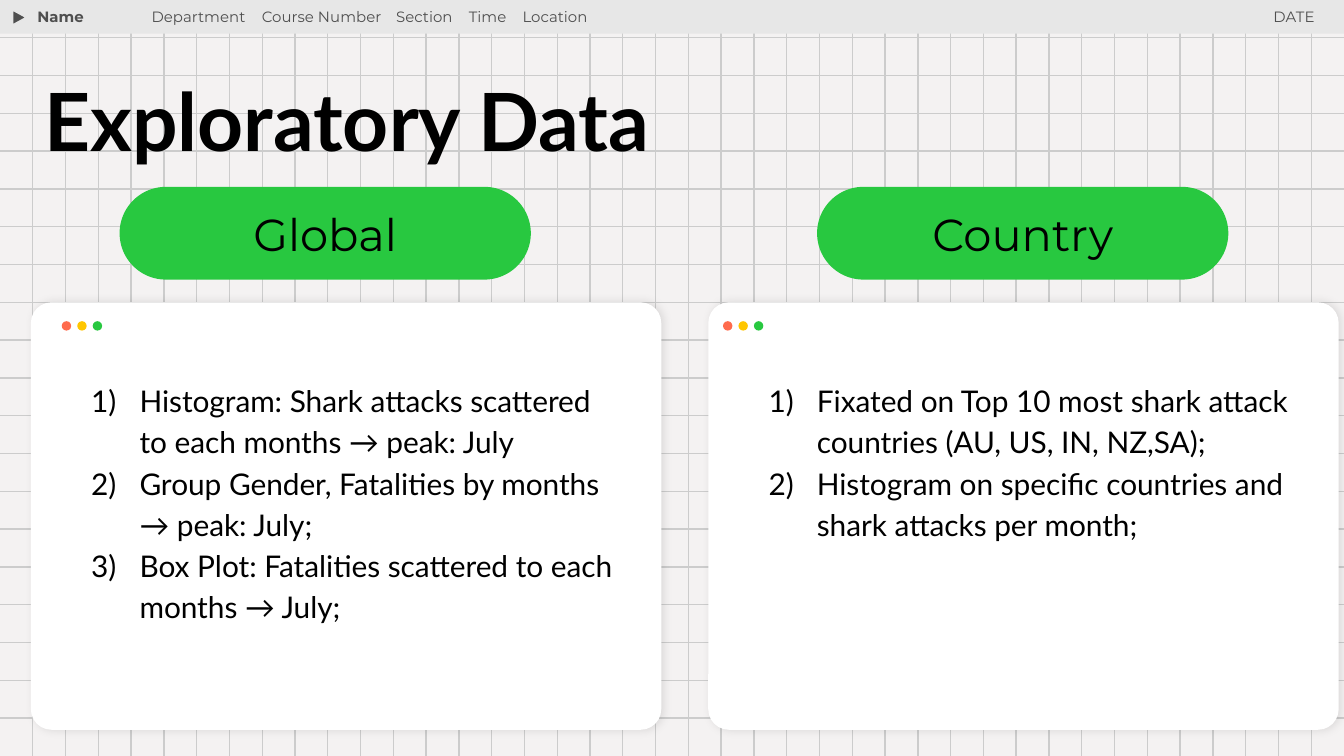
from lxml import etree
from pptx import Presentation
from pptx.dml.color import RGBColor
from pptx.enum.shapes import MSO_CONNECTOR as LINE, MSO_SHAPE as SHAPE
from pptx.enum.text import MSO_ANCHOR as ANCHOR, MSO_AUTO_SIZE as FIT, PP_ALIGN as ALIGN
from pptx.oxml import parse_xml
from pptx.oxml.ns import nsdecls, qn
from pptx.util import Inches, Pt

PAPER = RGBColor(0xF4, 0xF2, 0xF2)
GRID = RGBColor(0xCC, 0xCC, 0xCC)
BAR = RGBColor(0xE7, 0xE7, 0xE7)
GREY = RGBColor(0x4F, 0x4F, 0x4F)
WHITE = RGBColor(0xFF, 0xFF, 0xFF)
BLACK = RGBColor(0, 0, 0)
RED = RGBColor(0xFF, 0x6B, 0x4D)
YELLOW = RGBColor(0xFF, 0xC6, 0x00)
GREEN = RGBColor(0x28, 0xC8, 0x40)

WIDE = 10
HIGH = WIDE * 9 / 16
COLS, ROWS = 41, 20
TITLE = "Exploratory Data"
FIELDS = ["Department", "Course Number", "Section", "Time", "Location"]
TABS = [0.82, 1.82, 2.36, 2.76]
# left edges of card, dots, list and pill, then the words
PANELS = [
    dict(card=0.23, dots=0.46, list=0.44, pill=0.89, head="Global", items=[
        "Histogram: Shark attacks scattered to each months → peak: July",
        "Group Gender, Fatalities by months → peak: July;",
        "Box Plot: Fatalities scattered to each months → July;",
    ]),
    dict(card=5.27, dots=5.38, list=5.48, pill=6.08, head="Country", items=[
        "Fixated on Top 10 most shark attack countries (AU, US, IN, NZ,SA);",
        "Histogram on specific countries and shark attacks per month;",
    ]),
]

deck = Presentation()
deck.slide_width, deck.slide_height = Inches(WIDE), Inches(HIGH)
slide = deck.slides.add_slide(deck.slide_layouts[5])
shapes = slide.shapes
slide.background.fill.solid()
slide.background.fill.fore_color.rgb = PAPER


def add_line(x1, y1, x2, y2):
    line = shapes.add_connector(LINE.STRAIGHT, *map(Inches, (x1, y1, x2, y2)))
    line.line.color.rgb = GRID
    line.line.width = Pt(0.75)
    etree.SubElement(line._element.spPr, qn("a:effectLst"))


def add_shape(kind, box, fill, round=None):
    shape = shapes.add_shape(kind, *map(Inches, box))
    shape.shadow.inherit = False
    shape.fill.solid()
    shape.fill.fore_color.rgb = fill
    shape.line.fill.background()
    if round is not None:
        shape.adjustments[0] = round
    return shape


def cast_shadow(shape):
    """Give the shape a soft, faint shadow to its right."""
    effects = shape._element.spPr.find(qn("a:effectLst"))
    effects.append(parse_xml(
        f'<a:outerShdw {nsdecls("a")} blurRad="{Pt(4.5)}" dist="{Pt(1.5)}" dir="0" '
        'algn="ctr" rotWithShape="0"><a:srgbClr val="000000">'
        '<a:alpha val="10000"/></a:srgbClr></a:outerShdw>'))


def set_frame(shape, anchor=ANCHOR.TOP):
    frame = shape.text_frame
    frame.word_wrap = True
    frame.auto_size = FIT.NONE
    frame.vertical_anchor = anchor
    frame.margin_left = frame.margin_right = Inches(0.1)
    frame.margin_top = frame.margin_bottom = Inches(0.1)
    return frame


def add_box(*box):
    return set_frame(shapes.add_textbox(*map(Inches, box)))


def add_run(para, text, size, font, color, bold=False, align=ALIGN.LEFT):
    para.alignment = align
    run = para.add_run()
    run.text = text
    run.font.size, run.font.name, run.font.bold = Pt(size), font, bold
    run.font.color.rgb = color


def add_label(left, width, text, bold=False, align=ALIGN.LEFT):
    """Write small text in the top bar."""
    para = add_box(left, -0.04, width, 0.47).paragraphs[0]
    add_run(para, text, 8, "Montserrat", GREY, bold, align)
    return para


def set_tabs(para, stops):
    tabs = etree.SubElement(para._p.get_or_add_pPr(), qn("a:tabLst"))
    for stop in stops:
        etree.SubElement(tabs, qn("a:tab"), pos=str(Inches(stop)), algn="l")


def add_list(left, items):
    frame = add_box(left, 2.71, 4.26, 2.02)
    for i, item in enumerate(items):
        para = frame.add_paragraph() if i else frame.paragraphs[0]
        para.line_spacing = 1.15
        props = para._p.get_or_add_pPr()
        props.set("marL", str(Inches(0.5)))
        props.set("indent", str(Inches(-0.36)))
        color = etree.SubElement(props, qn("a:buClr"))
        etree.SubElement(color, qn("a:srgbClr"), val=str(BLACK))
        etree.SubElement(props, qn("a:buFont"), typeface="Lato")
        etree.SubElement(props, qn("a:buAutoNum"), type="arabicParenR")
        add_run(para, item, 16, "Lato", BLACK)


for row in range(1, ROWS):
    y = row * HIGH / ROWS
    add_line(0, y, WIDE, y)
for col in range(1, COLS):
    x = col * WIDE / COLS
    add_line(x, 0, x, HIGH)

add_shape(SHAPE.RECTANGLE, (0, 0, WIDE, 0.25), BAR)
arrow = add_shape(SHAPE.ISOSCELES_TRIANGLE, (0.09, 0.08, 0.11, 0.1), GREY)
arrow.rotation = 90
arrow.line.color.rgb = BAR
arrow.line.width = Pt(0.75)
add_label(0.18, 1.28, "Name", bold=True)
set_tabs(add_label(1.03, 4.17, "\t".join(FIELDS)), TABS)
add_label(8.21, 1.67, "DATE", align=ALIGN.RIGHT)

for panel in PANELS:
    card = add_shape(SHAPE.ROUNDED_RECTANGLE, (panel["card"], 2.25, 4.69, 3.18), WHITE, 0.048)
    cast_shadow(card)
    for i, color in enumerate([RED, YELLOW, GREEN]):
        add_shape(SHAPE.OVAL, (panel["dots"] + i * 0.115, 2.39, 0.07, 0.07), color)
    add_list(panel["list"], panel["items"])
    pill = add_shape(SHAPE.ROUNDED_RECTANGLE, (panel["pill"], 1.39, 3.06, 0.69), GREEN, 0.5)
    para = set_frame(pill, ANCHOR.MIDDLE).paragraphs[0]
    add_run(para, panel["head"], 24, "Montserrat", BLACK, align=ALIGN.CENTER)

title = shapes.title
title.left, title.top, title.width, title.height = map(Inches, (0.23, 0.51, 8.26, 0.85))
para = set_frame(title).paragraphs[0]
para.line_spacing = 0.9
add_run(para, TITLE, 43, "Lato", BLACK, bold=True)
shapes._spTree.append(title._element)  # in front of the grid

deck.save("out.pptx")
